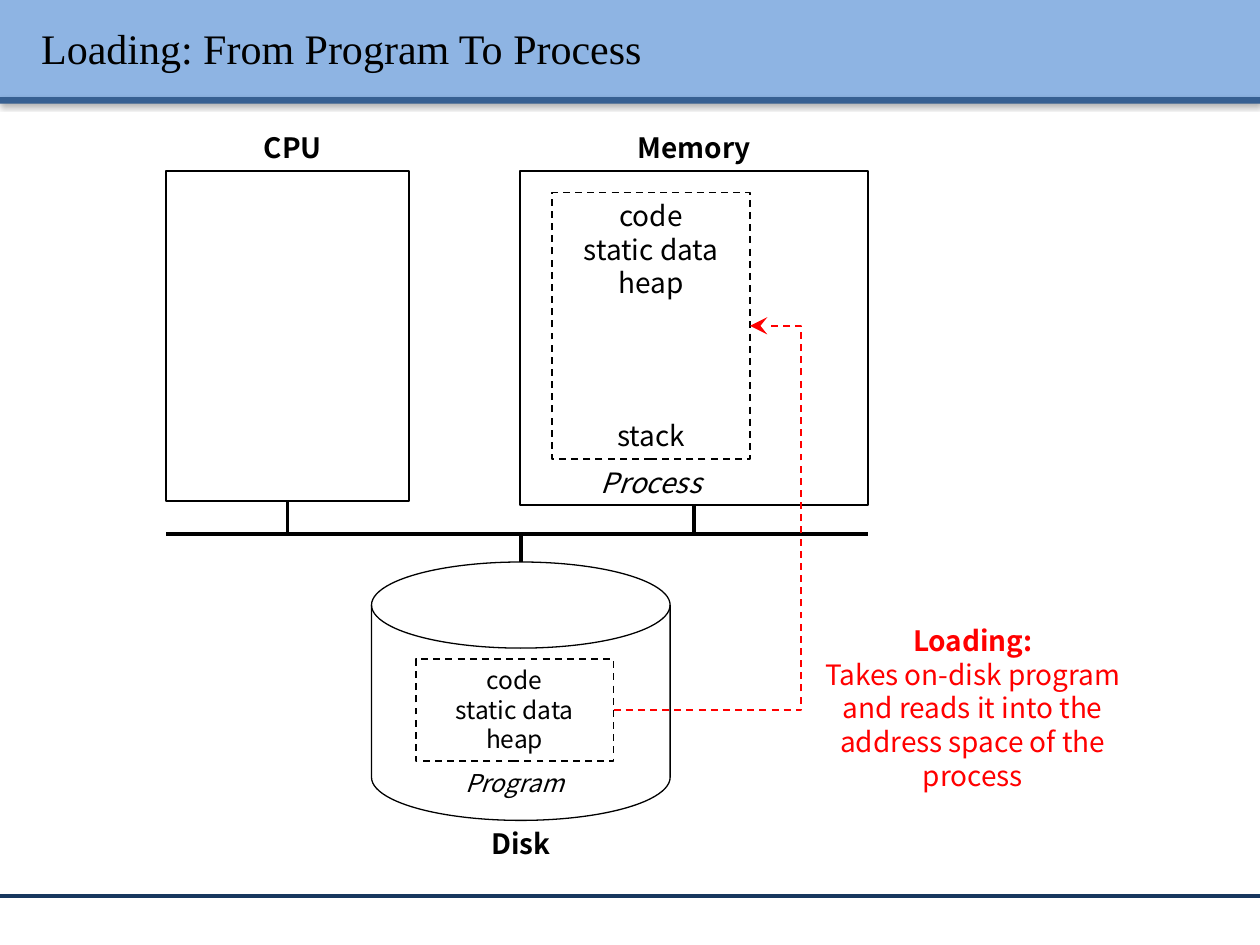
from lxml import etree
from pptx import Presentation
from pptx.dml.color import RGBColor
from pptx.enum.dml import MSO_LINE
from pptx.enum.shapes import MSO_CONNECTOR as CONNECTOR, MSO_SHAPE as SHAPE
from pptx.enum.text import MSO_ANCHOR as ANCHOR, PP_ALIGN as ALIGN
from pptx.oxml.ns import qn
from pptx.util import Cm, Pt

BLACK = RGBColor(0x00, 0x00, 0x00)
WHITE = RGBColor(0xFF, 0xFF, 0xFF)
RED = RGBColor(0xFF, 0x00, 0x00)
HEADER_BLUE = RGBColor(0x8E, 0xB4, 0xE3)
STRIP_BLUE = RGBColor(0x37, 0x60, 0x92)
FOOTER_BLUE = RGBColor(0x17, 0x37, 0x5E)
BODY_FONT = "Noto Sans CJK KR"
TITLE_FONT = "Times New Roman"
SLIDE_WIDTH, SLIDE_HEIGHT = 25.4, 19.05
LABEL_HEIGHT = 0.94
PART_WIDTH = 3.99
BUS_Y = 10.77


def add_child(parent, tag, **attributes):
    return etree.SubElement(parent, qn(tag), attributes)


def add_shadow(effects, blur, distance, angle, alpha):
    shadow = add_child(effects, "a:outerShdw", blurRad=str(Pt(blur)),
                       dist=str(Pt(distance)), dir=str(angle * 60000), rotWithShape="0")
    color = add_child(shadow, "a:srgbClr", val=str(BLACK))
    add_child(color, "a:alpha", val=str(alpha * 1000))


def add_box(slide, kind, box, fill, line=None, width=1, dashed=False):
    shape = slide.shapes.add_shape(kind, *map(Cm, box))
    shape.shadow.inherit = False
    shape.fill.solid()
    shape.fill.fore_color.rgb = fill
    if line is None:
        shape.line.fill.background()
    else:
        shape.line.color.rgb = line
        shape.line.width = Pt(width)
        if dashed:
            shape.line.dash_style = MSO_LINE.DASH
    return shape


def add_text(slide, box, lines, size=16, color=BLACK, bold=False, italic=False,
             font=BODY_FONT, align=ALIGN.CENTER, anchor=ANCHOR.TOP):
    frame = slide.shapes.add_textbox(*map(Cm, box)).text_frame
    frame.word_wrap = True
    frame.vertical_anchor = anchor
    for index, line in enumerate(lines):
        paragraph = frame.paragraphs[0] if index == 0 else frame.add_paragraph()
        paragraph.alignment = align
        run = paragraph.add_run()
        run.text = line
        run.font.name = font
        run.font.size = Pt(size)
        run.font.color.rgb = color
        run.font.bold = bold and index == 0
        run.font.italic = italic
    return frame


def add_line(slide, start, end, color=BLACK, width=2, kind=CONNECTOR.STRAIGHT):
    connector = slide.shapes.add_connector(kind, *map(Cm, (*start, *end)))
    connector.line.color.rgb = color
    connector.line.width = Pt(width)
    add_child(connector.element.spPr, "a:effectLst")
    return connector


def add_frame(slide, box):
    left, top, width, height = box
    strip_height = 0.13
    for band, fill in (((left, top, width, 1.96), HEADER_BLUE),
                       ((left, top + 1.96, width, strip_height), STRIP_BLUE)):
        shape = add_box(slide, SHAPE.RECTANGLE, band, fill)
        add_shadow(shape.element.spPr.find(qn("a:effectLst")), 3.1, 1.6, 90, 38)
    footer_y = top + height - 0.99
    add_line(slide, (left, footer_y), (left + width, footer_y), FOOTER_BLUE)
    title = add_text(slide, (left + 0.58, top + 0.15, 24.41, 1.63),
                     ["Loading: From Program To Process"], size=24,
                     font=TITLE_FONT, align=ALIGN.LEFT, anchor=ANCHOR.MIDDLE)
    properties = title.paragraphs[0].runs[0].font.fill._xPr
    effects = etree.Element(qn("a:effectLst"))
    properties.find(qn("a:solidFill")).addnext(effects)
    add_shadow(effects, 3, 3, 45, 43)


def add_cpu(slide, box):
    left, top, width, height = box
    add_text(slide, (left + 0.56, top - LABEL_HEIGHT, PART_WIDTH, LABEL_HEIGHT),
             ["CPU"], bold=True)
    return add_box(slide, SHAPE.RECTANGLE, box, WHITE, BLACK)


def add_memory(slide, box):
    left, top, width, height = box
    add_text(slide, (left + (width - PART_WIDTH) / 2, top - LABEL_HEIGHT,
                     PART_WIDTH, LABEL_HEIGHT), ["Memory"], bold=True)
    memory = add_box(slide, SHAPE.RECTANGLE, box, WHITE, BLACK)
    x, y, process_height = left + 0.64, top + 0.43, 5.38
    bottom = y + process_height
    process = add_box(slide, SHAPE.RECTANGLE, (x, y, PART_WIDTH, process_height),
                      WHITE, BLACK, dashed=True)
    add_text(slide, (x, y, PART_WIDTH, 2.39), ["code", "static data", "heap"])
    add_text(slide, (x, bottom - LABEL_HEIGHT, PART_WIDTH, LABEL_HEIGHT), ["stack"])
    add_text(slide, (x, bottom, PART_WIDTH, LABEL_HEIGHT), ["Process"], italic=True)
    return memory, process


def add_disk(slide, box):
    left, top, width, height = box
    add_box(slide, SHAPE.FLOWCHART_MAGNETIC_DISK, box, WHITE, BLACK, 0.75)
    x, y, program_height = left + 0.89, top + 1.96, 2.06
    program_box = (x, y, PART_WIDTH, program_height)
    program = add_box(slide, SHAPE.RECTANGLE, program_box, WHITE, BLACK, dashed=True)
    add_text(slide, program_box, ["code", "static data", "heap"], size=14)
    add_text(slide, (x, y + program_height, PART_WIDTH, 0.86), ["Program"],
             size=14, italic=True)
    add_text(slide, (left + (width - PART_WIDTH) / 2, top + height,
                     PART_WIDTH, LABEL_HEIGHT), ["Disk"], bold=True)
    return program


def add_bus(slide, cpu, memory, disk_box):
    left, right = cpu.left.cm, (memory.left + memory.width) / Cm(1)
    add_line(slide, (left, BUS_Y), (right, BUS_Y))
    for device in (cpu, memory):
        x = (device.left + device.width / 2) / Cm(1)
        add_line(slide, (x, BUS_Y), (x, BUS_Y)).begin_connect(device, 2)
    disk_x = disk_box[0] + disk_box[2] / 2
    add_line(slide, (disk_x, BUS_Y), (disk_x, disk_box[1]))


def add_loading(slide, box, program, process):
    arrow = add_line(slide, (0, 0), (1, 1), RED, 1, CONNECTOR.ELBOW)
    arrow.begin_connect(program, 3)
    arrow.end_connect(process, 3)
    arrow.line.dash_style = MSO_LINE.DASH
    add_child(arrow.line._get_or_add_ln(), "a:tailEnd", type="stealth", w="lg", len="lg")
    geometry = arrow.element.spPr.find(qn("a:prstGeom"))
    adjustments = geometry.find(qn("a:avLst"))
    add_child(adjustments, "a:gd", name="adj1", fmla="val 137600")
    add_text(slide, box, ["Loading:", "Takes on-disk program",
                          "and reads it into the address space of the process"],
             color=RED, bold=True)


def main():
    presentation = Presentation()
    presentation.slide_width = Cm(SLIDE_WIDTH)
    presentation.slide_height = Cm(SLIDE_HEIGHT)
    slide = presentation.slides.add_slide(presentation.slide_layouts[6])
    disk_box = (7.49, 11.33, 6.02, 5.21)
    add_frame(slide, (0, 0, SLIDE_WIDTH, SLIDE_HEIGHT))
    cpu = add_cpu(slide, (3.35, 3.45, 4.9, 6.65))
    memory, process = add_memory(slide, (10.49, 3.45, 7.01, 6.73))
    program = add_disk(slide, disk_box)
    add_bus(slide, cpu, memory, disk_box)
    add_loading(slide, (16.31, 12.45, 6.6, 3.68), program, process)
    presentation.save("out.pptx")


if __name__ == "__main__":
    main()
